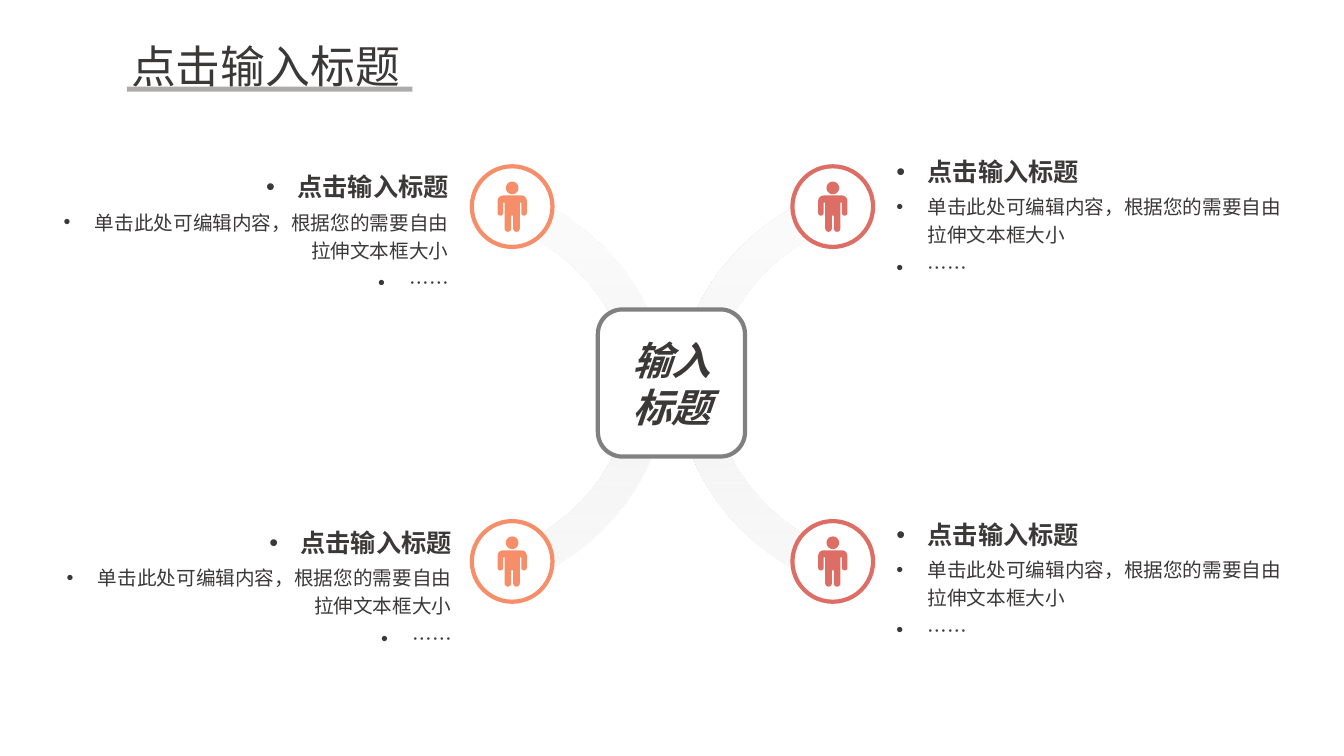
"""Build a slide with a central title, two arcs and four described figures."""
import math
from dataclasses import dataclass

import lxml.etree
import pptx
import pptx.dml.color
import pptx.enum.shapes
import pptx.enum.text
import pptx.oxml.ns
import pptx.util

Inches = pptx.util.Inches
Pt = pptx.util.Pt
qn = pptx.oxml.ns.qn
Shapes = pptx.enum.shapes.MSO_SHAPE
Align = pptx.enum.text.PP_ALIGN
Anchor = pptx.enum.text.MSO_ANCHOR
AutoSize = pptx.enum.text.MSO_AUTO_SIZE


@dataclass(frozen=True)
class Theme:
    font: str = "Noto Sans CJK SC"
    text: str = "3B3838"
    white: str = "FFFFFF"
    frame: str = "808080"
    rule: str = "AFABAB"
    orange: str = "F68E69"
    red: str = "DD6E65"
    arc_stops: tuple = ((0, "F9F9F9", 40), (53, "F6F6F6", 100), (100, "F2F2F2", 40))
    title_size: int = 32
    hub_size: int = 28
    heading_size: int = 18
    body_size: int = 14
    outline: int = 3


def color(value):
    return pptx.dml.color.RGBColor.from_string(value)


def apply(target, values):
    for name, value in values.items():
        setattr(target, name, value)


def arc_points(center_x, center_y, radius, start, end, steps=12):
    angles = [math.radians(start + (end - start) * step / steps) for step in range(steps + 1)]
    return [(center_x + radius * math.cos(angle), center_y + radius * math.sin(angle))
            for angle in angles]


def person_outlines():
    head = arc_points(0, 130, 125, 0, 360, 36)
    left_half = [
        *arc_points(-180, 390, 110, 270, 180),
        *arc_points(-235, 625, 55, 180, 0),
        (-180, 420), (-150, 420),
        *arc_points(-85, 935, 65, 180, 0),
        (-20, 680),
    ]
    return head, left_half + [(-x, y) for x, y in reversed(left_half)]


class SlideBuilder:
    def __init__(self, presentation, theme):
        self.theme = theme
        self.slide = presentation.slides.add_slide(presentation.slide_layouts[5])

    def paint(self, shape, fill, line=None):
        shape.shadow.inherit = False
        shape.fill.solid()
        shape.fill.fore_color.rgb = color(fill)
        if line:
            shape.line.color.rgb = color(line)
            shape.line.width = Pt(self.theme.outline)
        else:
            shape.line.fill.background()

    def shape(self, kind, box, fill, line=None):
        shape = self.slide.shapes.add_shape(kind, *map(Inches, box))
        self.paint(shape, fill, line)
        return shape

    def set_text(self, shape, lines, frame_format, paragraph_format):
        frame = shape.text_frame
        apply(frame, {"word_wrap": True, **frame_format})
        for index, (text, size, pitch, font_format) in enumerate(lines):
            paragraph = frame.add_paragraph() if index else frame.paragraphs[0]
            apply(paragraph, {"line_spacing": Pt(pitch), **paragraph_format})
            run = paragraph.add_run()
            run.text = text
            apply(run.font, {"name": self.theme.font, "size": Pt(size), **font_format})
            run.font.color.rgb = color(self.theme.text)
        for latin in list(shape.element.iter(qn("a:latin"))):
            east_asian = lxml.etree.Element(qn("a:ea"), typeface=self.theme.font)
            latin.addnext(east_asian)

    def title(self, text, box):
        title = self.slide.shapes.title
        apply(title, dict(zip(("left", "top", "width", "height"), map(Inches, box))))
        self.set_text(title, [(text, self.theme.title_size, 46, {})],
                      {"vertical_anchor": Anchor.MIDDLE, "auto_size": AutoSize.NONE},
                      {"alignment": Align.LEFT})

    def arc(self, box, rotation, flipped):
        arc = self.shape(Shapes.BLOCK_ARC, box, self.theme.white)
        arc.rotation = rotation
        for index, value in enumerate((129.06, 193.79, 0.08)):
            arc.adjustments[index] = value
        properties = arc.element.spPr
        if flipped:
            properties.find(qn("a:xfrm")).set("flipH", "1")
        gradient = lxml.etree.Element(qn("a:gradFill"), rotWithShape="1")
        stops = lxml.etree.SubElement(gradient, qn("a:gsLst"))
        for position, value, opacity in self.theme.arc_stops:
            stop = lxml.etree.SubElement(stops, qn("a:gs"), pos=str(position * 1000))
            tint = lxml.etree.SubElement(stop, qn("a:srgbClr"), val=value)
            lxml.etree.SubElement(tint, qn("a:alpha"), val=str(opacity * 1000))
        lxml.etree.SubElement(gradient, qn("a:lin"), ang="0", scaled="0")
        properties.replace(properties.find(qn("a:solidFill")), gradient)

    def hub(self, text, box):
        hub = self.shape(Shapes.ROUNDED_RECTANGLE, box, self.theme.white, self.theme.frame)
        self.set_text(hub, [(text, self.theme.hub_size, 34, {"bold": True, "italic": True})],
                      {"vertical_anchor": Anchor.MIDDLE}, {"alignment": Align.CENTER})

    def figure(self, center_x, center_y, accent):
        diameter = 0.8
        self.shape(Shapes.OVAL, (center_x - diameter / 2, center_y - diameter / 2,
                                 diameter, diameter), self.theme.white, accent)
        head, body = person_outlines()
        builder = self.slide.shapes.build_freeform(*head[0], scale=Inches(1) / 2000)
        builder.add_line_segments(head[1:], close=True)
        builder.move_to(*body[0])
        builder.add_line_segments(body[1:], close=True)
        person = builder.convert_to_shape(Inches(center_x), Inches(center_y - 0.25))
        self.paint(person, accent)

    def description(self, left, top, alignment):
        box = self.slide.shapes.add_textbox(*map(Inches, (left, top, 3.85, 1.31)))
        body = self.theme.body_size
        lines = [
            ("点击输入标题", self.theme.heading_size, 26, {"bold": True}),
            ("单击此处可编辑内容，根据您的需要自由拉伸文本框大小", body, 20, {}),
            ("……", body, 20, {}),
        ]
        margins = dict.fromkeys(("margin_left", "margin_top", "margin_right", "margin_bottom"), 0)
        self.set_text(box, lines, {"auto_size": AutoSize.SHAPE_TO_FIT_TEXT, **margins},
                      {"alignment": alignment, "space_before": Pt(3)})
        for properties in box.element.iter(qn("a:pPr")):
            properties.set("marL", str(Inches(0.31)))
            properties.set("indent", str(-Inches(0.31)))
            lxml.etree.SubElement(properties, qn("a:buFont"), typeface="Arial")
            lxml.etree.SubElement(properties, qn("a:buChar"), char="•")


def main():
    presentation = pptx.Presentation()
    presentation.slide_width = Inches(13.33)
    presentation.slide_height = Inches(7.5)
    theme = Theme()
    builder = SlideBuilder(presentation, theme)

    for left, rotation, flipped in ((7.2, 270, True), (1.74, 90, False)):
        builder.arc((left, 1.19, 4.39, 5.31), rotation, flipped)
    builder.hub("输入标题", (5.93, 3.07, 1.46, 1.46))
    for center_x, accent in ((5.08, theme.orange), (8.26, theme.red)):
        for center_y in (2.05, 5.57):
            builder.figure(center_x, center_y, accent)

    builder.title("点击输入标题", (1.2, 0.28, 3.09, 0.64))
    builder.shape(Shapes.RECTANGLE, (1.26, 0.86, 2.83, 0.05), theme.rule)
    for left, top, alignment in (
        (8.89, 1.49, Align.LEFT),
        (8.89, 5.09, Align.LEFT),
        (0.6, 1.64, Align.RIGHT),
        (0.63, 5.17, Align.RIGHT),
    ):
        builder.description(left, top, alignment)
    presentation.save("out.pptx")


if __name__ == "__main__":
    main()
